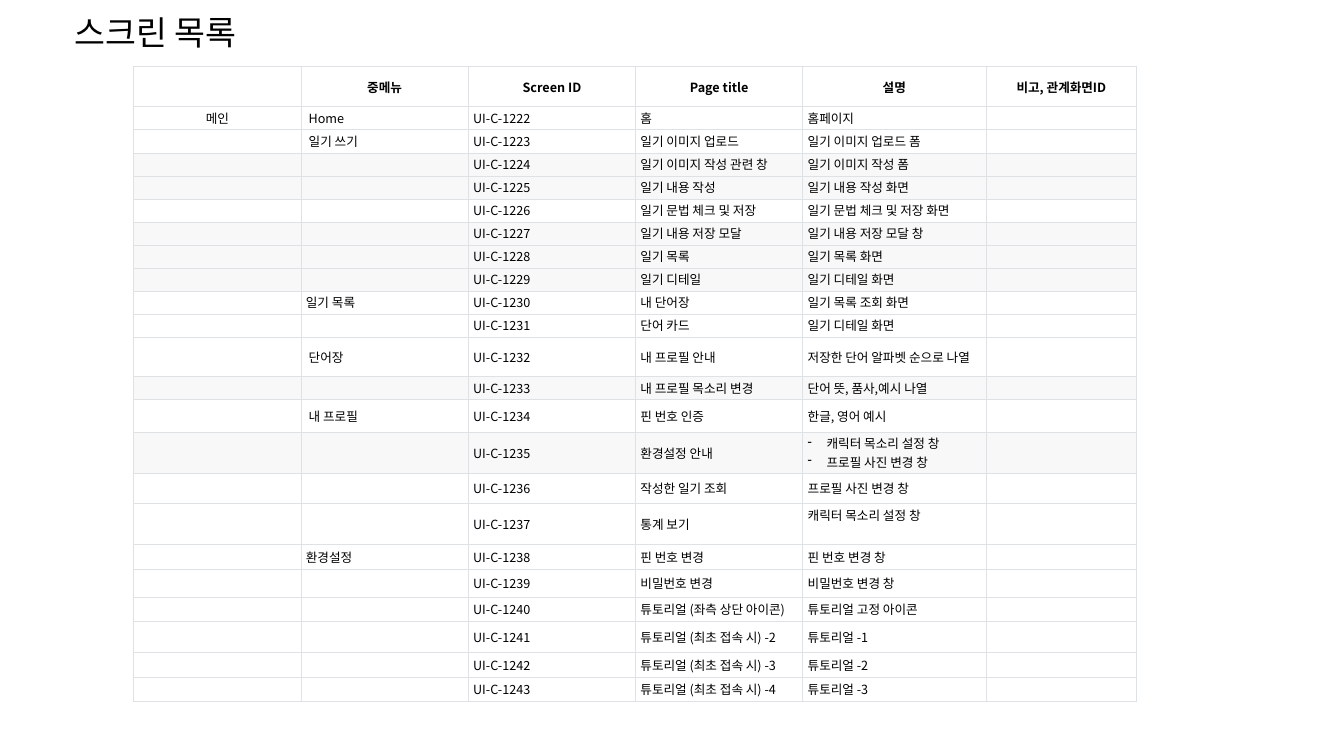
from pptx import Presentation
from pptx.dml.color import RGBColor
from pptx.enum.text import MSO_ANCHOR as Anchor, PP_ALIGN as Align
from pptx.oxml.ns import qn
from pptx.util import Pt
from lxml.etree import SubElement, Element

FONT = "Noto Sans CJK KR"
BLACK = RGBColor(0x00, 0x00, 0x00)
WHITE = RGBColor(0xFF, 0xFF, 0xFF)
LIGHT_GRAY = RGBColor(0xF8, 0xF8, 0xF8)
BORDER_GRAY = RGBColor(0xDF, 0xE2, 0xE5)

TEXT_SIZE = 9
LINE_HEIGHT = 13
SIDE_INSET, EDGE_INSET = 3.5, 1.7
BULLET_INDENT = 13.5
FIRST_ID = 1222

COLUMN_WIDTHS = [119.5, 119.5, 119.5, 119.5, 130.8, 107.8]
HEADER_HEIGHT = 28.8
HEADERS = ["", "중메뉴", "Screen ID", "Page title", "설명", "비고, 관계화면ID"]

# height, shaded, main menu, submenu, page title, description
SCREENS = [
    (16, False, "메인", " Home", "홈", "홈페이지"),
    (16, False, "", " 일기 쓰기", "일기 이미지 업로드", "일기 이미지 업로드 폼"),
    (16, True, "", "", "일기 이미지 작성 관련 창", "일기 이미지 작성 폼"),
    (16, True, "", "", "일기 내용 작성", "일기 내용 작성 화면"),
    (16, False, "", "", "일기 문법 체크 및 저장", "일기 문법 체크 및 저장 화면"),
    (16, True, "", "", "일기 내용 저장 모달", "일기 내용 저장 모달 창"),
    (16, True, "", "", "일기 목록", "일기 목록 화면"),
    (16, True, "", "", "일기 디테일", "일기 디테일 화면"),
    (16, False, "", "일기 목록", "내 단어장", "일기 목록 조회 화면"),
    (16, False, "", "", "단어 카드", "일기 디테일 화면"),
    (28.4, False, "", " 단어장", "내 프로필 안내", "저장한 단어 알파벳 순으로 나열"),
    (16, True, "", "", "내 프로필 목소리 변경", "단어 뜻, 품사,예시 나열"),
    (23, False, "", " 내 프로필", "핀 번호 인증", "한글, 영어 예시"),
    (28.4, True, "", "", "환경설정 안내", "캐릭터 목소리 설정 창\n프로필 사진 변경 창"),
    (21.6, False, "", "", "작성한 일기 조회", "프로필 사진 변경 창"),
    (28.4, False, "", "", "통계 보기", "캐릭터 목소리 설정 창"),
    (17.3, False, "", "환경설정", "핀 번호 변경", "핀 번호 변경 창"),
    (20, False, "", "", "비밀번호 변경", "비밀번호 변경 창"),
    (17.3, False, "", "", "튜토리얼 (좌측 상단 아이콘)", "튜토리얼 고정 아이콘"),
    (22.6, False, "", "", "튜토리얼 (최초 접속 시) -2", "튜토리얼 -1"),
    (17.3, False, "", "", "튜토리얼 (최초 접속 시) -3", "튜토리얼 -2"),
    (17.3, False, "", "", "튜토리얼 (최초 접속 시) -4", "튜토리얼 -3"),
]
RAISED_TITLE = "통계 보기"


def format_runs(paragraph, size, bold=False):
    for run in paragraph.runs:
        run.font.size = Pt(size)
        run.font.bold = bold
        run.font.name = FONT
        run.font.color.rgb = BLACK
        SubElement(run.font._element, qn("a:ea"), typeface=FONT)


def add_dash(paragraph):
    properties = paragraph._p.get_or_add_pPr()
    properties.set("marL", str(Pt(BULLET_INDENT)))
    properties.set("indent", str(-Pt(BULLET_INDENT)))
    SubElement(properties, qn("a:buChar"), char="-")


def add_borders(cell):
    properties = cell._tc.get_or_add_tcPr()
    for position, side in enumerate(("a:lnL", "a:lnR", "a:lnT", "a:lnB")):
        line = Element(qn(side), w=str(Pt(0.6)))
        fill = SubElement(line, qn("a:solidFill"))
        SubElement(fill, qn("a:srgbClr"), val=str(BORDER_GRAY))
        properties.insert(position, line)


def fill_cell(cell, text, color, bold=False, centered=False):
    cell.fill.solid()
    cell.fill.fore_color.rgb = color
    add_borders(cell)
    cell.vertical_anchor = Anchor.MIDDLE
    cell.margin_left = cell.margin_right = Pt(SIDE_INSET)
    cell.margin_top = cell.margin_bottom = Pt(EDGE_INSET)
    cell.text_frame.text = text
    paragraphs = cell.text_frame.paragraphs
    for paragraph in paragraphs:
        if len(paragraphs) > 1:
            add_dash(paragraph)
        if centered:
            paragraph.alignment = Align.CENTER
        format_runs(paragraph, TEXT_SIZE, bold)
        if not text:  # keeps an empty cell from stretching its row
            SubElement(paragraph._p, qn("a:endParaRPr"), sz=str(TEXT_SIZE * 100))


def add_title(slide, text):
    box = slide.shapes.add_textbox(Pt(46), Pt(5), Pt(522), Pt(36))
    box.text_frame.word_wrap = True
    box.text_frame.text = text
    format_runs(box.text_frame.paragraphs[0], 24)


def add_screen_table(slide):
    heights = [HEADER_HEIGHT] + [screen[0] for screen in SCREENS]
    table = slide.shapes.add_table(
        len(heights), len(HEADERS), Pt(95.5), Pt(47.5),
        Pt(sum(COLUMN_WIDTHS)), Pt(sum(heights))).table
    table.first_row = table.horz_banding = False
    for column, width in zip(table.columns, COLUMN_WIDTHS):
        column.width = Pt(width)
    for row, height in zip(table.rows, heights):
        row.height = Pt(height)

    for cell, header in zip(table.rows[0].cells, HEADERS):
        fill_cell(cell, header, WHITE, bold=True, centered=True)
    for index, (_, shaded, menu, submenu, title, description) in enumerate(SCREENS):
        cells = list(table.rows[index + 1].cells)
        texts = [menu, submenu, f"UI-C-{FIRST_ID + index}", title, description, ""]
        for column, (cell, text) in enumerate(zip(cells, texts)):
            fill_cell(cell, text, LIGHT_GRAY if shaded else WHITE, centered=column == 0)
        if title == RAISED_TITLE:
            cells[4].margin_bottom = Pt(EDGE_INSET + LINE_HEIGHT)


def main():
    presentation = Presentation()
    presentation.slide_width, presentation.slide_height = Pt(960), Pt(540)
    slide = presentation.slides.add_slide(presentation.slide_layouts[6])
    add_screen_table(slide)
    add_title(slide, "스크린 목록")
    presentation.save("out.pptx")


if __name__ == "__main__":
    main()
